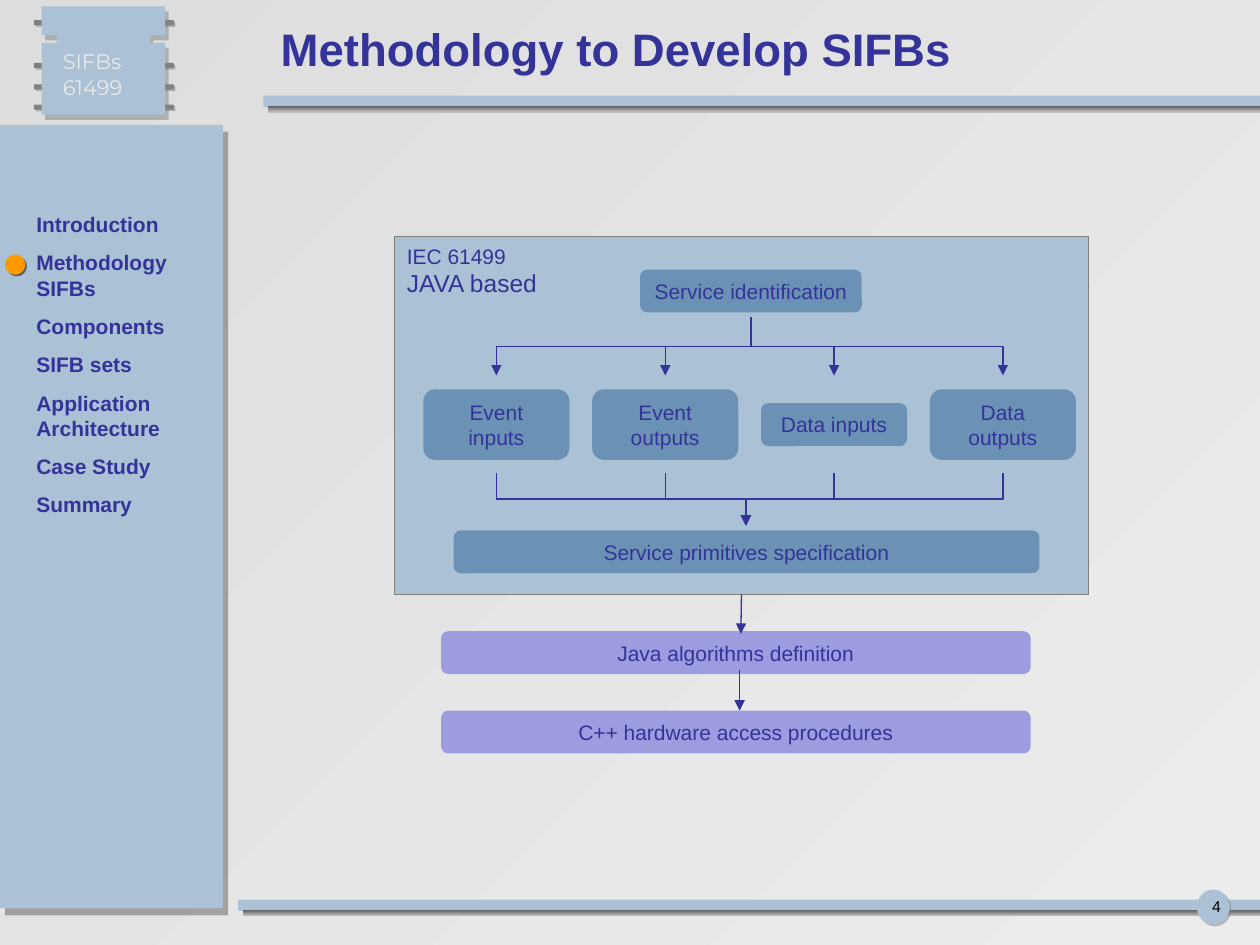
from lxml.etree import SubElement
from pptx import Presentation
from pptx.dml.color import RGBColor
from pptx.enum.shapes import MSO_CONNECTOR, MSO_SHAPE
from pptx.enum.text import MSO_ANCHOR, PP_ALIGN
from pptx.oxml.ns import qn
from pptx.util import Inches, Pt

NAVY = RGBColor(0x33, 0x33, 0x99)
PALE_BLUE = RGBColor(0xAB, 0xC1, 0xD5)
STEEL = RGBColor(0x6B, 0x92, 0xB5)
LILAC = RGBColor(0x9C, 0x9C, 0xDF)
ORANGE = RGBColor(0xFF, 0x99, 0x00)
GRAY = RGBColor(0x80, 0x80, 0x80)
DARK_GRAY = RGBColor(0x5F, 0x5F, 0x5F)
CHIP_TEXT = RGBColor(0xEA, 0xEA, 0xEA)
BLACK = RGBColor(0, 0, 0)
BAR_SHADE = (RGBColor(0x59, 0x59, 0x59), RGBColor(0xC0, 0xC0, 0xC0))
BACKDROP = (RGBColor(0xDD, 0xDD, 0xDD), RGBColor(0xEC, 0xEC, 0xEC))

MENU = ["Introduction", "Methodology SIFBs", "Components", "SIFB sets",
        "Application Architecture", "Case Study", "Summary"]


def set_gradient(fill, colors, angle):
    fill.gradient()
    fill.gradient_angle = angle
    for stop, color in zip(fill.gradient_stops, colors):
        stop.color.rgb = color


def paint(sp, color, shadow=None):
    """Plain fill without outline; shadow is (colour, distance in points, degrees)."""
    sp.shadow.inherit = False
    if color is not None:
        sp.fill.solid()
        sp.fill.fore_color.rgb = color
    sp.line.fill.background()
    if shadow:
        shade, dist, degrees = shadow
        effects = sp._element.spPr.find(qn("a:effectLst"))
        outer = SubElement(effects, qn("a:outerShdw"), dist=str(Pt(dist)),
                           dir=str(degrees * 60000), algn="ctr", rotWithShape="0")
        clr = SubElement(outer, qn("a:srgbClr"), val=str(shade))
        SubElement(clr, qn("a:alpha"), val="50000")


def add_block(s, kind, x, y, w, h, color=None, shadow=None):
    sp = s.shapes.add_shape(kind, Inches(x), Inches(y), Inches(w), Inches(h))
    paint(sp, color, shadow)
    return sp


def write(sp, lines, size, color=NAVY, bold=False, font="Arial", align=PP_ALIGN.LEFT,
          anchor=MSO_ANCHOR.TOP, wrap=True, before=0):
    tf = sp.text_frame
    tf.word_wrap = wrap
    tf.vertical_anchor = anchor
    for i, line in enumerate(lines):
        p = tf.paragraphs[0] if i == 0 else tf.add_paragraph()
        p.text = line
        p.alignment = align
        p.space_before = Pt(before)
        p.font.name, p.font.size, p.font.bold = font, Pt(size), bold
        p.font.color.rgb = color


def add_label(s, x, y, w, h, lines, size, **style):
    tb = s.shapes.add_textbox(Inches(x), Inches(y), Inches(w), Inches(h))
    write(tb, lines, size, **style)


def add_step(s, x, y, w, h, text, color=STEEL, wrap=True):
    sp = add_block(s, MSO_SHAPE.ROUNDED_RECTANGLE, x, y, w, h, color)
    write(sp, [text], 12, align=PP_ALIGN.CENTER, anchor=MSO_ANCHOR.MIDDLE, wrap=wrap)
    return sp


def add_arrow(s, kind, x1, y1, x2, y2):
    line = s.shapes.add_connector(kind, Inches(x1), Inches(y1), Inches(x2), Inches(y2))
    line.line.color.rgb = NAVY
    line.line.width = Pt(0.75)
    spPr = line._element.spPr
    SubElement(spPr.find(qn("a:ln")), qn("a:tailEnd"), type="triangle")
    SubElement(spPr, qn("a:effectLst"))
    return line


def add_elbow(s, x1, y1, x2, y2):
    """Elbow that leaves and arrives vertically: a turned horizontal elbow."""
    cx, cy = (x1 + x2) / 2, (y1 + y2) / 2
    half_w, half_h = (y2 - y1) / 2, abs(x2 - x1) / 2
    line = add_arrow(s, MSO_CONNECTOR.ELBOW, cx - half_w, cy - half_h, cx + half_w, cy + half_h)
    xfrm = line._element.spPr.find(qn("a:xfrm"))
    if x2 < x1:
        xfrm.set("rot", str(90 * 60000))
    else:
        xfrm.set("rot", str(270 * 60000))
        xfrm.set("flipH", "1")


def add_bar(s, x, y, w):
    """Horizontal rule with a graded lower edge."""
    add_block(s, MSO_SHAPE.RECTANGLE, x, y, w, 0.09, PALE_BLUE)
    edge = add_block(s, MSO_SHAPE.RECTANGLE, x + 0.04, y + 0.08, w - 0.04, 0.05)
    set_gradient(edge.fill, BAR_SHADE, 270)


def add_chip(s, x, y, w, h):
    # Pins on both sides
    for pin_x in (x - 0.06, x + w - 0.09):
        for pin_y in (0.11, 0.45, 0.62, 0.78):
            add_block(s, MSO_SHAPE.ROUNDED_RECTANGLE, pin_x, y + pin_y, 0.16, 0.04,
                      GRAY, (GRAY, 1.4, 45))
    # Body with a notch on each side
    top, bottom, notch = y + 0.23, y + 0.29, 0.12
    right, low = x + w, y + h
    points = [(x, y), (right, y), (right, top), (right - notch, top),
              (right - notch, bottom), (right, bottom), (right, low), (x, low),
              (x, bottom), (x + notch, bottom), (x + notch, top), (x, top)]
    corners = [(Inches(px), Inches(py)) for px, py in points]
    outline = s.shapes.build_freeform(*corners[0])
    outline.add_line_segments(corners[1:], close=True)
    paint(outline.convert_to_shape(), PALE_BLUE, (GRAY, 3.6, 56))
    add_label(s, x + 0.07, y + 0.29, 0.86, 0.46, ["SIFBs", "61499"], 12,
              color=CHIP_TEXT, font="Montserrat", wrap=False)


def add_sidebar(s, x, y, w, h):
    add_block(s, MSO_SHAPE.RECTANGLE, x, y, w, h, PALE_BLUE, (DARK_GRAY, 5, 53))
    add_label(s, x + 0.19, y + 0.64, w - 0.19, 2.53, MENU, 12, bold=True, before=7.5)
    # Marker of the current section
    add_block(s, MSO_SHAPE.OVAL, x + 0.04, y + 1.03, 0.16, 0.16, ORANGE, (BLACK, 1.4, 45))


def add_header(s, x, y, w):
    add_label(s, x + 0.04, y, w - 0.04, 0.72, ["Methodology to Develop SIFBs"], 26,
              bold=True, anchor=MSO_ANCHOR.MIDDLE)
    add_bar(s, x, y + 0.74, w)


def add_footer(s, x, y, w):
    add_bar(s, x, y, w)
    add_block(s, MSO_SHAPE.OVAL, x + w - 0.5, y - 0.08, 0.26, 0.28, PALE_BLUE, (GRAY, 1.4, 45))
    add_label(s, x + w - 0.72, y - 0.07, 0.75, 0.25, ["4"], 9, color=BLACK,
              align=PP_ALIGN.CENTER, before=5.6)


def add_standard_panel(s, x, y, w, h):
    panel = add_block(s, MSO_SHAPE.RECTANGLE, x, y, w, h, PALE_BLUE)
    panel.line.color.rgb = GRAY
    panel.line.width = Pt(0.75)
    write(panel, ["IEC 61499", "JAVA based"], 12)
    panel.text_frame.paragraphs[1].font.size = Pt(14)

    add_step(s, x + 1.95, y + 0.26, 1.76, 0.34, "Service identification", wrap=False)
    add_step(s, x + 0.47, y + 2.33, 4.65, 0.34, "Service primitives specification")

    # Four interface boxes, fanned out from the top and gathered at the bottom
    step_w, pitch = 1.16, 1.34
    interfaces = [("Event inputs", 0.56), ("Event outputs", 0.56),
                  ("Data inputs", 0.34), ("Data outputs", 0.56)]
    for i, (text, step_h) in enumerate(interfaces):
        left = x + 0.23 + i * pitch
        add_step(s, left, y + 1.49 - step_h / 2, step_w, step_h, text)
        center = left + step_w / 2
        add_elbow(s, x + 2.83, y + 0.64, center, y + 1.1)
        add_elbow(s, center, y + 1.87, x + 2.79, y + 2.29)
    return panel


def add_code_steps(s, x, y, w, panel):
    step_h, pitch = 0.34, 0.63
    for i, text in enumerate(["Java algorithms definition", "C++ hardware access procedures"]):
        add_step(s, x, y + i * pitch, w, step_h, text, LILAC)
    from_panel = add_arrow(s, MSO_CONNECTOR.STRAIGHT, x + 2.38, y - 0.3, x + 2.38, y + 0.02)
    from_panel.begin_connect(panel, 2)
    add_arrow(s, MSO_CONNECTOR.STRAIGHT, x + 2.37, y + 0.31, x + 2.37, y + pitch)


def main():
    prs = Presentation()
    prs.slide_width, prs.slide_height = Inches(10), Inches(7.5)
    s = prs.slides.add_slide(prs.slide_layouts[6])
    set_gradient(s.background.fill, BACKDROP, 315)
    add_footer(s, 1.89, 7.14, 8.11)
    add_header(s, 2.09, 0.02, 7.91)
    add_chip(s, 0.33, 0.05, 0.98, 0.86)
    add_sidebar(s, 0, 0.99, 1.77, 6.22)
    panel = add_standard_panel(s, 3.13, 1.88, 5.51, 2.84)
    add_code_steps(s, 3.5, 5.01, 4.68, panel)
    prs.save("out.pptx")


if __name__ == "__main__":
    main()
